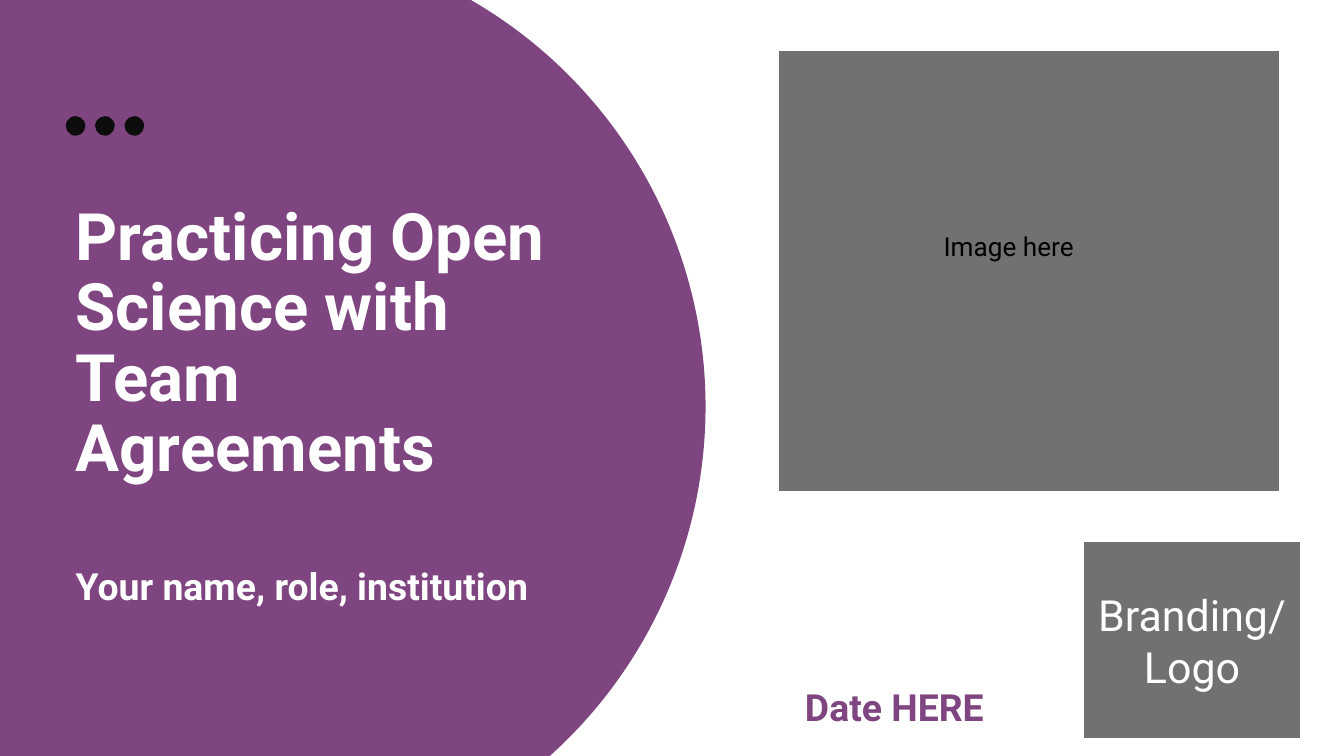
from lxml import etree
from pptx import Presentation
from pptx import util as u
from pptx.dml.color import RGBColor
from pptx.enum import shapes, text
from pptx.oxml.ns import qn

PX = 9525  # EMU per px, 96 px to the inch
PLUM, GREY, BLACK, WHITE = "7E4581", "363739", "000000", "FFFFFF"
KIND, ALIGN, ANCHOR = shapes.MSO_SHAPE, text.PP_ALIGN, text.MSO_ANCHOR


def draw(kind, x, y, w, h, fill, line=None, alpha=None):
    """Add a flat preset shape; alpha is its opacity in percent."""
    shape = slide.shapes.add_shape(kind, x * PX, y * PX, w * PX, h * PX)
    shape.shadow.inherit = False
    shape.fill.solid()
    shape.fill.fore_color.rgb = RGBColor.from_string(fill)
    if line:
        shape.line.color.rgb = RGBColor.from_string(line)
        shape.line.width = u.Pt(0.75)
    else:
        shape.line.fill.background()
    if alpha:
        color = shape.fill._xPr.find(qn("a:solidFill"))[0]
        etree.SubElement(color, qn("a:alpha")).set("val", str(alpha * 1000))
    return shape


def write(shape, lines, color, bold=False, align=ALIGN.LEFT,
          anchor=ANCHOR.MIDDLE, inset=10, space=None):
    """Fill a shape with paragraphs given as (text, size, points before)."""
    frame = shape.text_frame
    frame.word_wrap = True
    frame.auto_size = text.MSO_AUTO_SIZE.NONE
    frame.vertical_anchor = anchor
    frame.margin_left = frame.margin_right = inset * PX
    frame.margin_top = frame.margin_bottom = inset * PX
    for i, (words, size, before) in enumerate(lines):
        para = frame.add_paragraph() if i else frame.paragraphs[0]
        para.alignment = align
        para.space_before = u.Pt(before)
        if space:
            para.line_spacing = space
        run = para.add_run()
        run.text = words
        run.font.name = "Roboto"
        run.font.size = u.Pt(size)
        run.font.bold = bold
        run.font.color.rgb = RGBColor.from_string(color)


deck = Presentation()
deck.slide_width, deck.slide_height = 960 * PX, 540 * PX
slide = deck.slides.add_slide(deck.slide_layouts[5])

# Purple disc, cut at the left edge of the slide
disc = draw(KIND.CHORD, -167, -45, 671, 671, PLUM)
disc.adjustments[0], disc.adjustments[1] = 143.852, 72.083

for i in range(3):
    draw(KIND.OVAL, 47 + 21 * i, 83, 14, 14, "0D0D0D")

date = slide.shapes.add_textbox(565 * PX, 479 * PX, 223 * PX, 34 * PX)
write(date, [("Date HERE", 20, 0)], PLUM, bold=True, anchor=ANCHOR.TOP)

# Grey areas for the image and the branding
draw(KIND.RECTANGLE, 556, 36, 358, 315, GREY, line=WHITE, alpha=71)
brand = draw(KIND.RECTANGLE, 774, 387, 155, 141, GREY, line=WHITE, alpha=71)
write(brand, [("Branding/", 23, 0), ("Logo", 23, 0)], WHITE, align=ALIGN.CENTER)

label = slide.shapes.add_textbox(617 * PX, 126 * PX, 207 * PX, 100 * PX)
write(label, [("Image here", 14, 0)], BLACK, align=ALIGN.CENTER)

title = slide.shapes.title
title.left, title.top = 54 * PX, 193 * PX
title.width, title.height = 367 * PX, 194 * PX
write(title, [("Practicing Open Science with Team Agreements", 35, 0),
              ("Your name, role, institution", 20, 44)],
      WHITE, bold=True, inset=0, space=0.9)
slide.shapes._spTree.append(title._element)  # bring in front of the disc

deck.save("out.pptx")
